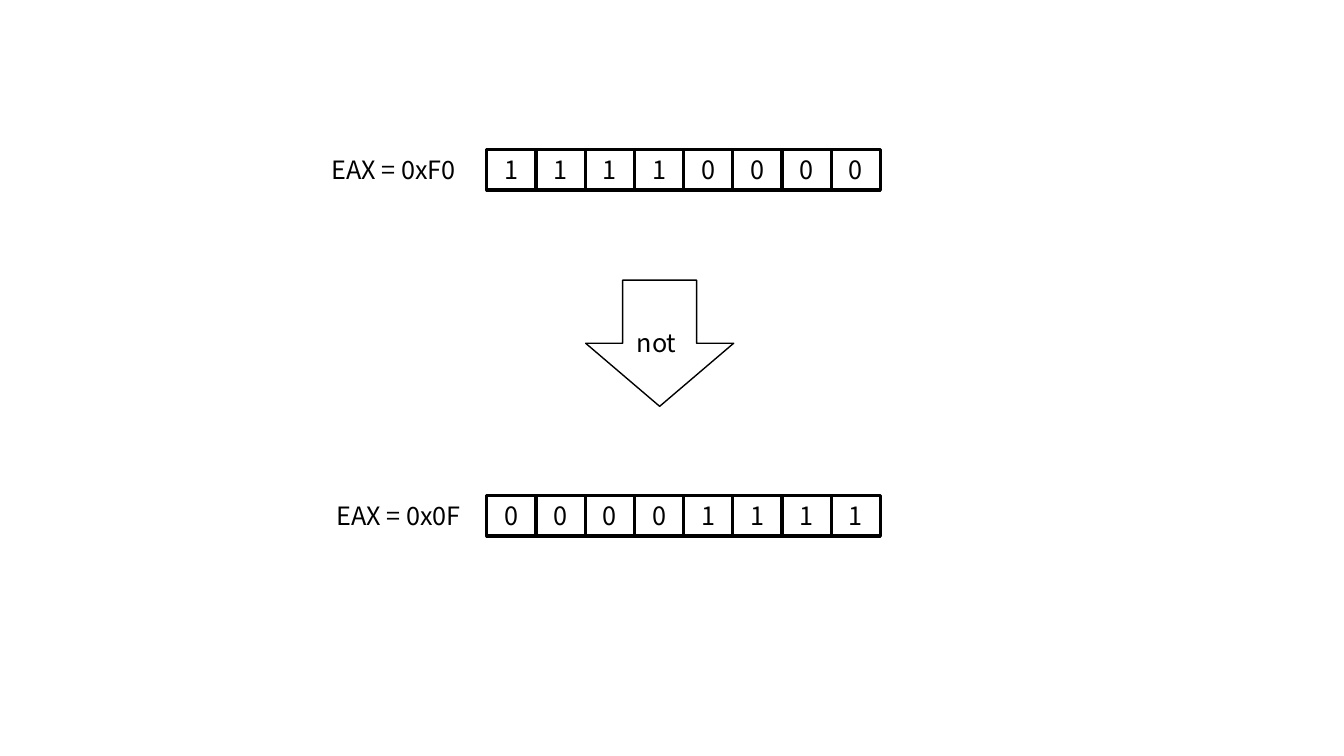
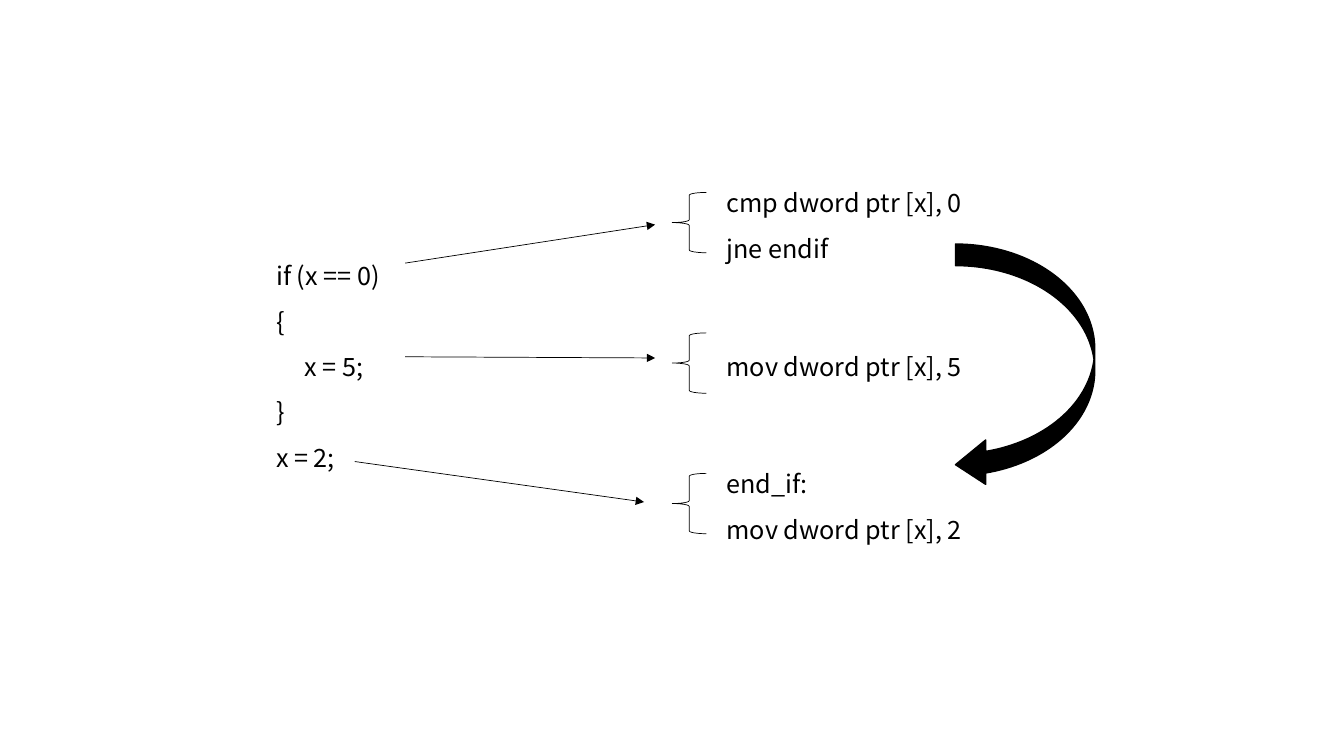
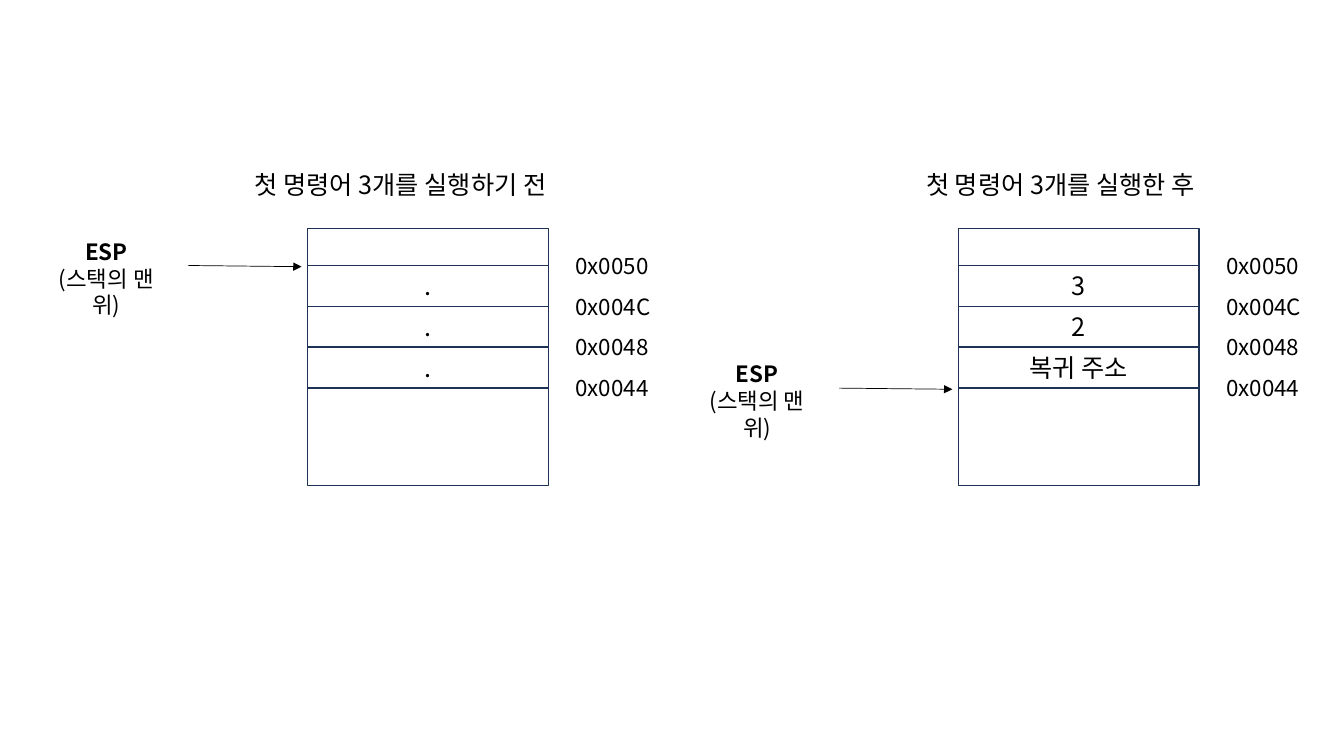
from dataclasses import dataclass

from pptx import Presentation
from pptx.dml.color import RGBColor
from pptx.enum.shapes import MSO_CONNECTOR, MSO_SHAPE
from pptx.enum.text import MSO_ANCHOR, MSO_AUTO_SIZE, PP_ALIGN
from pptx.oxml.ns import qn
from pptx.util import Cm, Pt
from lxml.etree import SubElement


@dataclass(frozen=True)
class Theme:
    font: str = "Noto Sans CJK KR"
    ink: RGBColor = RGBColor(0x00, 0x00, 0x00)
    navy: RGBColor = RGBColor(0x1E, 0x32, 0x56)
    body: int = 18
    small: int = 16
    thin: float = 0.5
    normal: float = 1
    thick: float = 2.25


T = Theme()

REGISTERS = [
    ("EAX = 0xF0", "11110000", 8.1, 3.77),
    ("EAX = 0x0F", "00001111", 8.23, 12.49),
]

SOURCE_CODE = ["if (x == 0)", "{", "     x = 5;", "}", "x = 2;"]
ASSEMBLY = [
    (["cmp dword ptr [x], 0", "jne endif"], 4.22, 2.41),
    (["mov dword ptr [x], 5"], 8.34, 1.27),
    (["end_if:", "mov dword ptr [x], 2"], 11.3, 2.41),
]
CODE_ARROWS = [
    (10.21, 6.63, 16.51, 5.66),
    (10.21, 8.99, 16.51, 9.02),
    (8.94, 11.63, 16.23, 12.65),
]

ADDRESSES = ["0x0050", "0x004C", "0x0048", "0x0044"]
POINTER = ["ESP", "(스택의 맨 위)"]
STACKS = [
    {"title": "첫 명령어 3개를 실행하기 전", "title_x": 6.17, "title_w": 8.81,
     "x": 7.75, "values": [".", ".", "."], "top": 0},
    {"title": "첫 명령어 3개를 실행한 후", "title_x": 23.09, "title_w": 8.18,
     "x": 24.15, "values": ["3", "2", "복귀 주소"], "top": 3},
]


def put_text(sp, lines, size=T.body, align=PP_ALIGN.LEFT, anchor=MSO_ANCHOR.TOP,
             wrap=True, spacing=None, bold_lines=0):
    tf = sp.text_frame
    tf.word_wrap = wrap
    tf.vertical_anchor = anchor
    for i, line in enumerate(lines):
        p = tf.paragraphs[0] if i == 0 else tf.add_paragraph()
        p.alignment = align
        if spacing:
            p.line_spacing = spacing
        r = p.add_run()
        r.text = line
        r.font.name = T.font
        r.font.size = Pt(size)
        r.font.color.rgb = T.ink
        r.font.bold = i < bold_lines
        SubElement(r.font._element, qn("a:ea")).set("typeface", T.font)


def add_label(s, lines, x, y, w, h, **fmt):
    sp = s.shapes.add_textbox(Cm(x), Cm(y), Cm(w), Cm(h))
    put_text(sp, lines, **fmt)
    sp.text_frame.auto_size = MSO_AUTO_SIZE.SHAPE_TO_FIT_TEXT


def add_outline(s, kind, x, y, w, h, color=T.ink, weight=T.normal, fill=None, value=None):
    sp = s.shapes.add_shape(kind, Cm(x), Cm(y), Cm(w), Cm(h))
    sp.shadow.inherit = False
    sp.line.color.rgb = color
    sp.line.width = Pt(weight)
    if fill is None:
        sp.fill.background()
    else:
        sp.fill.solid()
        sp.fill.fore_color.rgb = fill
    if value is not None:
        put_text(sp, [value], align=PP_ALIGN.CENTER, anchor=MSO_ANCHOR.MIDDLE)
    return sp


def add_arrow(s, x1, y1, x2, y2):
    c = s.shapes.add_connector(MSO_CONNECTOR.STRAIGHT, Cm(x1), Cm(y1), Cm(x2), Cm(y2))
    c.line.color.rgb = T.ink
    c.line.width = Pt(T.thin)
    SubElement(c.line._get_or_add_ln(), qn("a:tailEnd")).set("type", "triangle")
    SubElement(c._element.spPr, qn("a:effectLst"))


def build_not(s):
    left, cell_w, cell_h = 12.27, 1.24, 1.02
    for name, bits, name_x, y in REGISTERS:
        for i, bit in enumerate(bits):
            add_outline(s, MSO_SHAPE.RECTANGLE, left + i * cell_w, y, cell_w, cell_h,
                        weight=T.thick, value=bit)
        add_label(s, [name], name_x, y, 4, cell_h)
    add_outline(s, MSO_SHAPE.DOWN_ARROW, 14.76, 7.06, 3.73, 3.18)
    add_label(s, ["not"], 15.8, 8.13, 1.6, cell_h)


def build_branch(s):
    code = {"wrap": False, "spacing": 1.5}
    add_label(s, SOURCE_CODE, 6.71, 6.06, 3.51, 5.87, **code)
    for i, (lines, y, h) in enumerate(ASSEMBLY):
        add_label(s, lines, 18.06, y, 6.54, h, **code)
        add_outline(s, MSO_SHAPE.LEFT_BRACE, 16.94, 4.85 + i * 3.54, 0.86, 1.52,
                    weight=T.thin)
    for ends in CODE_ARROWS:
        add_arrow(s, *ends)
    jump = add_outline(s, MSO_SHAPE.CURVED_LEFT_ARROW, 24.08, 6.15, 3.51, 6.12, fill=T.ink)
    for i, value in enumerate((0.155, 0.319, 0.217)):
        jump.adjustments[i] = value


def build_stack(s):
    top, head_h, row_h, width, tail_h = 5.76, 0.93, 1.03, 6.07, 4.52
    first = top + head_h
    for stack in STACKS:
        x = stack["x"]
        add_label(s, [stack["title"]], stack["title_x"], 4.14, stack["title_w"], 1.02,
                  wrap=False)
        box = {"color": T.navy}
        add_outline(s, MSO_SHAPE.RECTANGLE, x, top, width, head_h, **box)
        add_outline(s, MSO_SHAPE.RECTANGLE, x, first + row_h, width, tail_h, **box)
        for i, value in enumerate(stack["values"]):
            add_outline(s, MSO_SHAPE.RECTANGLE, x, first + i * row_h, width, row_h,
                        value=value, **box)
        for i, address in enumerate(ADDRESSES):
            add_label(s, [address], x + 6.5, first + i * row_h - 0.47, 2.8, 0.94,
                      size=T.small, wrap=False)
        y = first + stack["top"] * row_h
        add_label(s, POINTER, x - 6.87, y - 0.82, 3.6, 1.63, size=T.small,
                  align=PP_ALIGN.CENTER, bold_lines=1)
        add_arrow(s, x - 3, y, x - 0.15, y + 0.03)


def main():
    prs = Presentation()
    prs.slide_width, prs.slide_height = Cm(33.87), Cm(19.05)
    for build in (build_not, build_branch, build_stack):
        build(prs.slides.add_slide(prs.slide_layouts[6]))
    prs.save("out.pptx")


if __name__ == "__main__":
    main()
